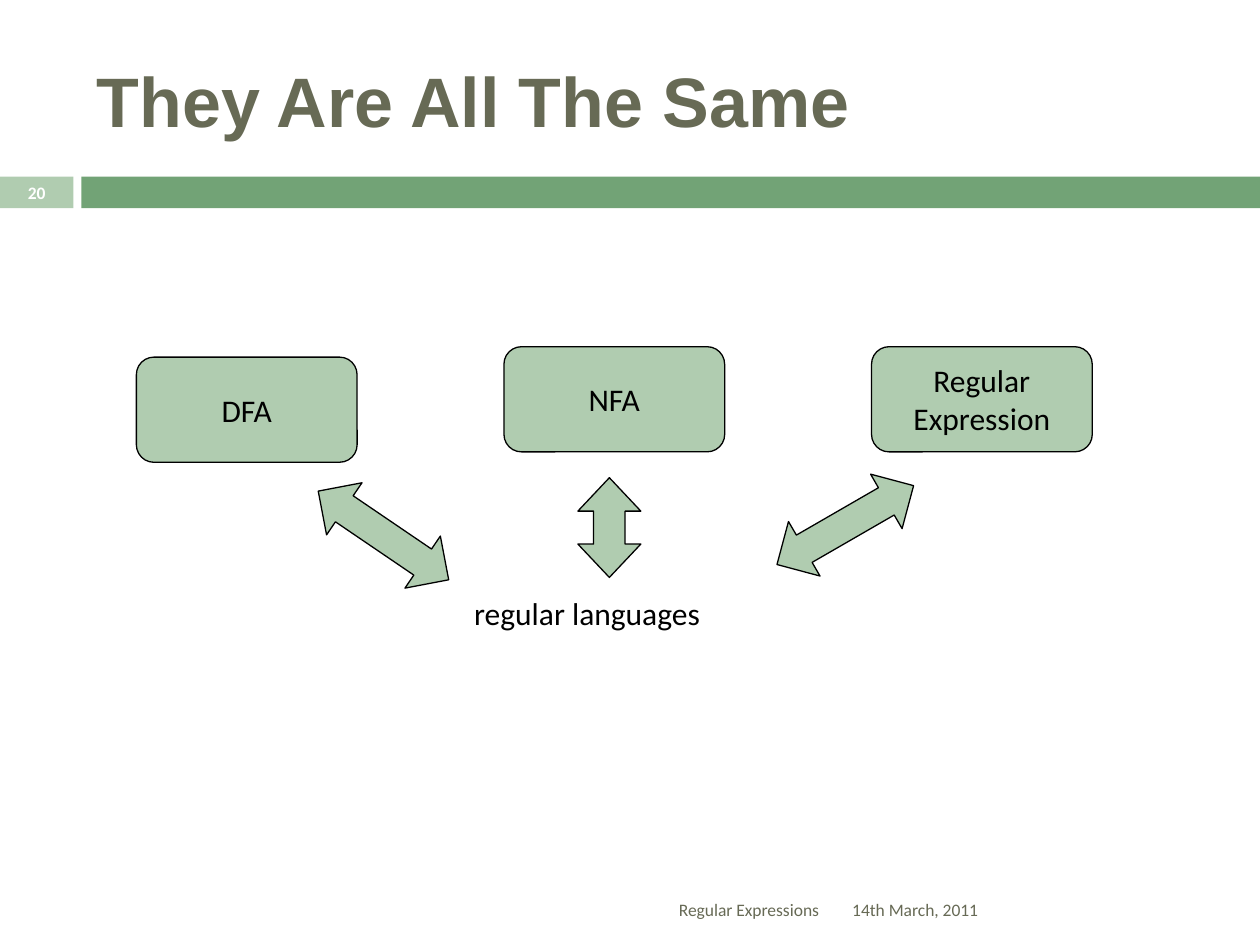
from pptx import Presentation, util as u
from pptx.dml import color
from pptx.enum import shapes, text

SAGE, GREEN, OLIVE, BLACK, WHITE = "B0CCB0", "72A376", "676A55", "000000", "FFFFFF"
LEFT, CENTER, RIGHT = text.PP_ALIGN.LEFT, text.PP_ALIGN.CENTER, text.PP_ALIGN.RIGHT
TOP, MIDDLE = text.MSO_ANCHOR.TOP, text.MSO_ANCHOR.MIDDLE


def rgb(hex_value):
    return color.RGBColor.from_string(hex_value)


class Deck:
    body = {"name": "Calibri", "size": u.Pt(18), "bold": False}
    small = {"name": "Calibri", "size": u.Pt(10), "bold": False}
    number = {**small, "bold": True}
    heading = {"name": "Arial", "size": u.Pt(40), "bold": True}

    def __init__(self, width, height):
        self.presentation = Presentation()
        self.presentation.slide_width = u.Cm(width)
        self.presentation.slide_height = u.Cm(height)
        self.slide = None

    def add_slide(self):
        self.slide = self.presentation.slides.add_slide(self.presentation.slide_layouts[5])

    def set_words(self, holder, words, style, ink, align, anchor):
        frame = holder.text_frame
        layout = {"word_wrap": True, "auto_size": text.MSO_AUTO_SIZE.NONE, "vertical_anchor": anchor}
        for key, value in layout.items():
            setattr(frame, key, value)
        paragraph = frame.paragraphs[0]
        paragraph.text = words
        paragraph.alignment = align
        for run in paragraph.runs:
            for key, value in style.items():
                setattr(run.font, key, value)
            run.font.color.rgb = rgb(ink)

    def title(self, words, left, top, width, height):
        heading = self.slide.shapes.title
        place = {"left": left, "top": top, "width": width, "height": height}
        for key, value in place.items():
            setattr(heading, key, u.Cm(value))
        self.set_words(heading, words, self.heading, OLIVE, LEFT, MIDDLE)

    def label(self, words, box, style, ink, align=LEFT, anchor=MIDDLE):
        holder = self.slide.shapes.add_textbox(*map(u.Cm, box))
        self.set_words(holder, words, style, ink, align, anchor)

    def shape(self, preset, box, fill, outline=None):
        figure = self.slide.shapes.add_shape(preset, *map(u.Cm, box))
        figure.shadow.inherit = False
        figure.fill.solid()
        figure.fill.fore_color.rgb = rgb(fill)
        if outline:
            figure.line.color.rgb = rgb(outline)
            figure.line.width = u.Pt(0.75)
        else:
            figure.line.fill.background()
        return figure

    def model(self, words, left, top):
        card = self.shape(shapes.MSO_SHAPE.ROUNDED_RECTANGLE, (left, top, 4.45, 2.12), SAGE, BLACK)
        self.set_words(card, words, self.body, BLACK, CENTER, MIDDLE)

    def arrow(self, left, top, length, angle, head=0.5):
        link = self.shape(shapes.MSO_SHAPE.LEFT_RIGHT_ARROW, (left, top, length, 1.27), SAGE, BLACK)
        link.adjustments[1] = head
        link.rotation = angle


def main():
    deck = Deck(25.4, 19.05)
    deck.add_slide()
    deck.shape(shapes.MSO_SHAPE.RECTANGLE, (0, 3.56, 1.48, 0.64), SAGE)
    deck.shape(shapes.MSO_SHAPE.RECTANGLE, (1.64, 3.56, 23.76, 0.64), GREEN)
    deck.title("They Are All The Same", 1.7, 0.64, 22.66, 2.74)

    models = [("DFA", 7.2), ("NFA", 6.99), ("Regular\vExpression", 6.99)]
    for column, (model, top) in enumerate(models):
        deck.model(model, 2.75 + 7.41 * column, top)

    deck.label("regular languages", (9.31, 11.85, 6.38, 1.27), deck.body, BLACK, anchor=TOP)
    deck.arrow(6.14, 10.16, 3.18, 34.2)
    deck.arrow(15.45, 9.95, 3.18, 330)
    deck.arrow(11.28, 10, 2.01, 270, 0.53)

    deck.label("14th March, 2011", (16.93, 17.83, 7.42, 1.02), deck.small, OLIVE)
    deck.label("20", (0, 3.53, 1.48, 0.69), deck.number, WHITE, CENTER)
    deck.label("Regular Expressions", (1.7, 17.83, 15.06, 1.02), deck.small, OLIVE, RIGHT)
    deck.presentation.save("out.pptx")


if __name__ == "__main__":
    main()
